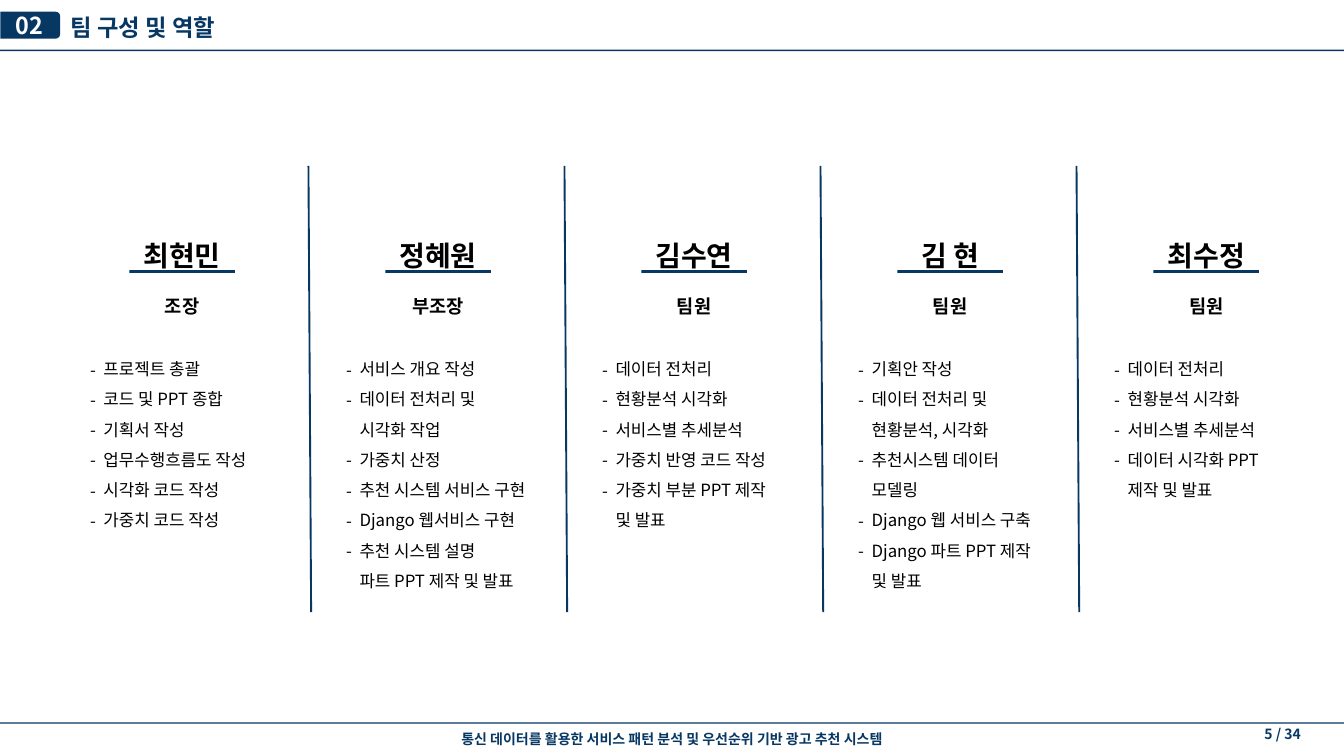
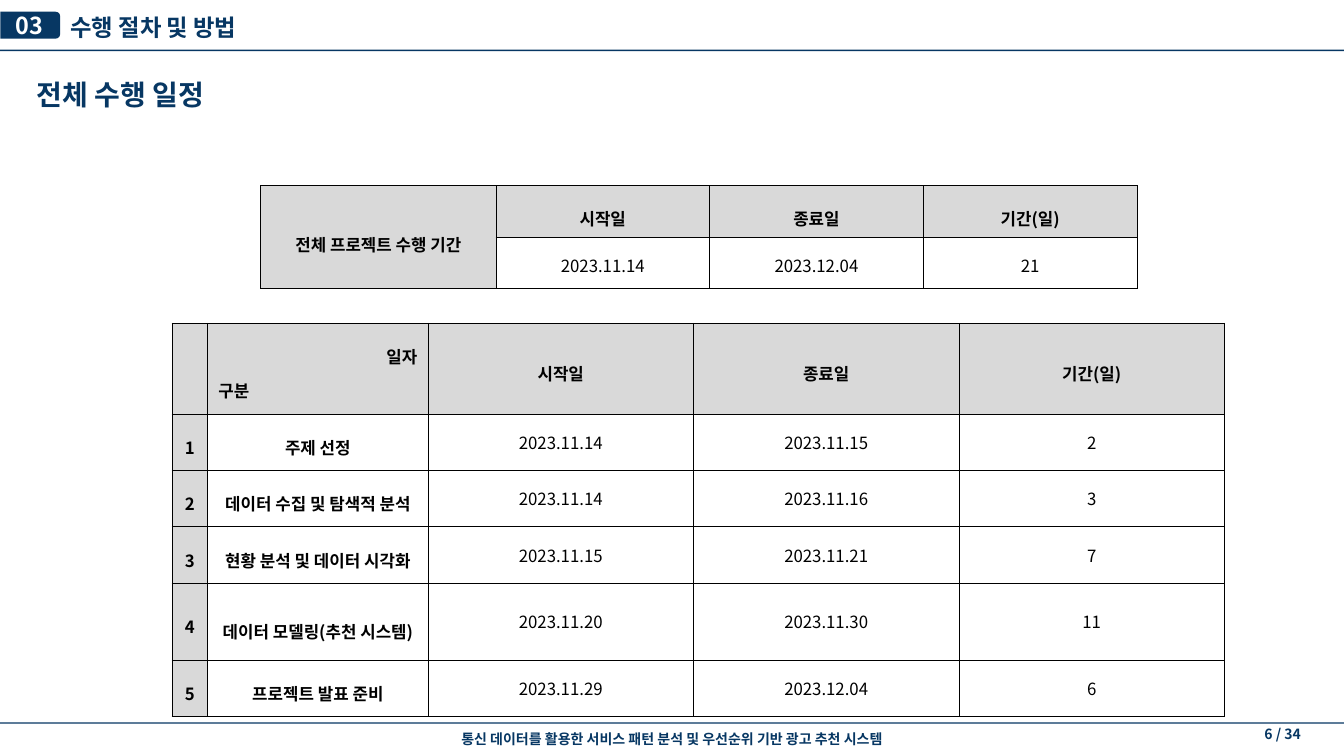
"""Build the team roles and project schedule slides."""
from collections import namedtuple
from copy import deepcopy
from dataclasses import dataclass

from lxml.etree import SubElement
from pptx import Presentation
from pptx.dml.color import RGBColor
from pptx.enum.shapes import MSO_CONNECTOR, MSO_SHAPE
from pptx.enum.text import MSO_ANCHOR, MSO_AUTO_SIZE, PP_ALIGN
from pptx.oxml.ns import qn
from pptx.util import Inches, Pt

Style = namedtuple("Style", "size color bold")
LEFT, CENTER, RIGHT = PP_ALIGN.LEFT, PP_ALIGN.CENTER, PP_ALIGN.RIGHT


@dataclass(frozen=True)
class Theme:
    font: str = "Noto Sans CJK KR"
    navy: str = "073763"
    black: str = "000000"
    white: str = "FFFFFF"
    gray: str = "D9D9D9"
    title: Style = Style(25, navy, True)
    badge: Style = Style(25, white, True)
    heading: Style = Style(30, navy, True)
    footer: Style = Style(15, navy, True)
    name: Style = Style(30, black, True)
    role: Style = Style(20, black, True)
    label: Style = Style(18, black, True)
    body: Style = Style(18, black, False)


THEME = Theme()
WIDTH, HEIGHT = 20, 11.25
PROJECT = "통신 데이터를 활용한 서비스 패턴 분석 및 우선순위 기반 광고 추천 시스템"
PAGE_COUNT = 34

TEAM = [
    ("최현민", "조장", ["프로젝트 총괄", "코드 및 PPT 종합", "기획서 작성",
                     "업무수행흐름도 작성", "시각화 코드 작성", "가중치 코드 작성"]),
    ("정혜원", "부조장", ["서비스 개요 작성", "데이터 전처리 및\n시각화 작업", "가중치 산정",
                      "추천 시스템 서비스 구현", "Django 웹서비스 구현",
                      "추천 시스템 설명\n파트 PPT 제작 및 발표"]),
    ("김수연", "팀원", ["데이터 전처리", "현황분석 시각화", "서비스별 추세분석",
                     "가중치 반영 코드 작성", "가중치 부분 PPT 제작\n및 발표"]),
    ("김 현", "팀원", ["기획안 작성", "데이터 전처리 및\n현황분석, 시각화",
                     "추천시스템 데이터\n모델링", "Django 웹 서비스 구축",
                     "Django 파트 PPT 제작\n및 발표"]),
    ("최수정", "팀원", ["데이터 전처리", "현황분석 시각화", "서비스별 추세분석",
                     "데이터 시각화 PPT\n제작 및 발표"]),
]
DATE_HEADS = ["시작일", "종료일", "기간(일)"]
OVERALL = [
    ["전체 프로젝트 수행 기간", *DATE_HEADS],
    ["", "2023.11.14", "2023.12.04", "21"],
]
SCHEDULE = [
    ["", "일자\n구분", *DATE_HEADS],
    ["1", "주제 선정", "2023.11.14", "2023.11.15", "2"],
    ["2", "데이터 수집 및 탐색적 분석", "2023.11.14", "2023.11.16", "3"],
    ["3", "현황 분석 및 데이터 시각화", "2023.11.15", "2023.11.21", "7"],
    ["4", "데이터 모델링(추천 시스템)", "2023.11.20", "2023.11.30", "11"],
    ["5", "프로젝트 발표 준비", "2023.11.29", "2023.12.04", "6"],
]

MEMBER_LEFT, MEMBER_PITCH, MEMBER_WIDTH = 1.34, 3.81, 2.74
UNDERLINE_WIDTH = 1.57
DIVIDER_LEFT, DIVIDER_SLANT, DIVIDER_TOP, DIVIDER_BOTTOM = 4.59, 0.04, 2.47, 9.11
DUTY_INDENT = 0.2
CELL_MARGIN = 0.16


def inches(*lengths):
    return [Inches(length) for length in lengths]


def add_run(paragraph, text, style):
    run = paragraph.add_run()
    run.text = text
    font = run.font
    font.size, font.bold, font.name = Pt(style.size), style.bold, THEME.font
    font.color.rgb = RGBColor.from_string(style.color)
    SubElement(run._r.get_or_add_rPr(), qn("a:ea"), typeface=THEME.font)


def next_paragraph(frame, index, align, spacing):
    paragraph = frame.paragraphs[0] if index == 0 else frame.add_paragraph()
    paragraph.alignment, paragraph.line_spacing = align, spacing
    paragraph.space_before = Pt(0)
    return paragraph


def set_margins(target, margin):
    target.margin_left = target.margin_right = Inches(margin)
    target.margin_top = target.margin_bottom = Inches(margin)


def place(holder, box):
    holder.left, holder.top, holder.width, holder.height = inches(*box)
    frame = holder.text_frame
    frame.word_wrap, frame.auto_size = True, MSO_AUTO_SIZE.NONE
    frame.vertical_anchor = MSO_ANCHOR.TOP
    set_margins(frame, 0)
    return frame


def add_text(slide, box, text, style, align=LEFT, spacing=1.0):
    frame = place(slide.shapes.add_textbox(0, 0, 0, 0), box)
    add_run(next_paragraph(frame, 0, align, spacing), text, style)


def add_block(slide, box, kind=MSO_SHAPE.RECTANGLE):
    block = slide.shapes.add_shape(kind, *inches(*box))
    block.shadow.inherit = False
    block.fill.solid()
    block.fill.fore_color.rgb = RGBColor.from_string(THEME.navy)
    block.line.fill.background()
    return block


def add_frame(slide, number, title, page):
    for top in (0.74, 10.75):
        add_block(slide, (0, top, WIDTH, 0.02))
    badge = add_block(slide, (0.25, -0.07, 0.4, 0.89), MSO_SHAPE.ROUND_2_SAME_RECTANGLE)
    badge.rotation = 90
    frame = badge.text_frame
    frame._txBody.bodyPr.set("vert", "vert270")
    frame.vertical_anchor = MSO_ANCHOR.MIDDLE
    set_margins(frame, 0)
    add_run(next_paragraph(frame, 0, CENTER, 1.0), number, THEME.badge)
    title_frame = place(slide.shapes.title, (1.05, 0.12, 6.08, 0.5))
    add_run(next_paragraph(title_frame, 0, LEFT, 1.2), title, THEME.title)
    add_text(slide, (5.01, 10.8, 9.98, 0.3), PROJECT, THEME.footer, CENTER, 1.26)
    add_text(slide, (9.38, 10.8, 9.98, 0.3), f"{page} / {PAGE_COUNT}", THEME.footer, RIGHT)


def add_duty_holders(layout, count):
    """Give the layout one body placeholder per team member."""
    first = layout.placeholders[1]._element
    for extra in range(1, count):
        holder = deepcopy(first)
        holder.nvSpPr.cNvPr.set("id", str(100 + extra))
        holder.xpath(".//p:ph")[0].set("idx", str(100 + extra))
        layout.shapes._spTree.append(holder)


def fill_duties(frame, duties):
    for index, duty in enumerate(duties):
        paragraph = next_paragraph(frame, index, LEFT, 1.5)
        properties = paragraph._p.get_or_add_pPr()
        properties.set("marL", str(Inches(DUTY_INDENT)))
        properties.set("indent", str(-Inches(DUTY_INDENT)))
        SubElement(properties, qn("a:buFont"), typeface=THEME.font)
        SubElement(properties, qn("a:buChar"), char="-")
        for part, line in enumerate(duty.split("\n")):
            if part:
                paragraph.add_line_break()
            add_run(paragraph, line, THEME.body)


def add_divider(slide, left):
    divider = slide.shapes.add_connector(
        MSO_CONNECTOR.STRAIGHT,
        *inches(left, DIVIDER_TOP, left + DIVIDER_SLANT, DIVIDER_BOTTOM))
    divider.line.width = Pt(2)
    divider.line.color.rgb = RGBColor.from_string(THEME.navy)
    SubElement(divider._element.spPr, qn("a:effectLst"))


def build_team(deck):
    layout = deck.slide_layouts[1]
    add_duty_holders(layout, len(TEAM))
    slide = deck.slides.add_slide(layout)
    add_frame(slide, "02", "팀 구성 및 역할", 5)
    duty_holders = list(slide.placeholders)[1:]
    for index, ((name, role, duties), holder) in enumerate(zip(TEAM, duty_holders)):
        offset = index * MEMBER_PITCH
        left = MEMBER_LEFT + offset
        add_text(slide, (left, 3.3, MEMBER_WIDTH, 0.76), name, THEME.name, CENTER, 1.5)
        underline_left = left + (MEMBER_WIDTH - UNDERLINE_WIDTH) / 2
        add_block(slide, (underline_left, 4.02, UNDERLINE_WIDTH, 0.04))
        add_text(slide, (left, 4.22, MEMBER_WIDTH, 0.5), role, THEME.role, CENTER, 1.5)
        fill_duties(place(holder, (left, 5.19, MEMBER_WIDTH + 0.1, 3.64)), duties)
        if index < len(TEAM) - 1:
            add_divider(slide, DIVIDER_LEFT + offset)


def add_borders(cell):
    properties = cell._tc.get_or_add_tcPr()
    for side in ("lnL", "lnR", "lnT", "lnB"):
        border = SubElement(properties, qn(f"a:{side}"), w=str(Pt(1)))
        SubElement(SubElement(border, qn("a:solidFill")), qn("a:srgbClr"), val=THEME.black)


def fill_cell(cell, text, is_label, is_shaded):
    set_margins(cell, CELL_MARGIN)
    cell.vertical_anchor = MSO_ANCHOR.MIDDLE
    add_borders(cell)
    if is_shaded:
        cell.fill.solid()
        cell.fill.fore_color.rgb = RGBColor.from_string(THEME.gray)
    else:
        cell.fill.background()
    lines = text.split("\n") if text else []
    aligns = (RIGHT, LEFT) if len(lines) == 2 else (CENTER,)
    for index, (line, align) in enumerate(zip(lines, aligns)):
        paragraph = next_paragraph(cell.text_frame, index, align, 1.4 if is_label else 1.0)
        add_run(paragraph, line, THEME.label if is_label else THEME.body)


def add_grid(slide, left, top, columns, heights, rows, label_columns):
    box = inches(left, top, sum(columns), sum(heights))
    grid = slide.shapes.add_table(len(rows), len(columns), *box).table
    grid.first_row = grid.horz_banding = False
    for column, width in zip(grid.columns, columns):
        column.width = Inches(width)
    for r, (texts, height) in enumerate(zip(rows, heights)):
        grid.rows[r].height = Inches(height)
        for c, text in enumerate(texts):
            fill_cell(grid.cell(r, c), text, r == 0 or c < label_columns, r == 0 or c == 0)
    return grid


def build_schedule(deck):
    slide = deck.slides.add_slide(deck.slide_layouts[5])
    add_frame(slide, "03", "수행 절차 및 방법", 6)
    add_text(slide, (0.55, 1.06, 6.08, 0.61), "전체 수행 일정", THEME.heading, LEFT, 1.2)
    schedule = add_grid(slide, 2.56, 4.81, [0.53, 3.28] + [3.95] * 3,
                        [1.35] + [0.84] * 5, SCHEDULE, 2)
    modeling = schedule.cell(4, 1)
    modeling.margin_top, modeling.margin_bottom = inches(0.13, 0)
    overall = add_grid(slide, 3.88, 2.76, [3.5] + [3.18] * 3, [0.65] * 2, OVERALL, 1)
    for cell in overall.iter_cells():
        cell.margin_bottom = Inches(0.1)
    overall.cell(0, 0).merge(overall.cell(1, 0))


def main():
    deck = Presentation()
    deck.slide_width, deck.slide_height = inches(WIDTH, HEIGHT)
    build_team(deck)
    build_schedule(deck)
    deck.save("out.pptx")


if __name__ == "__main__":
    main()
